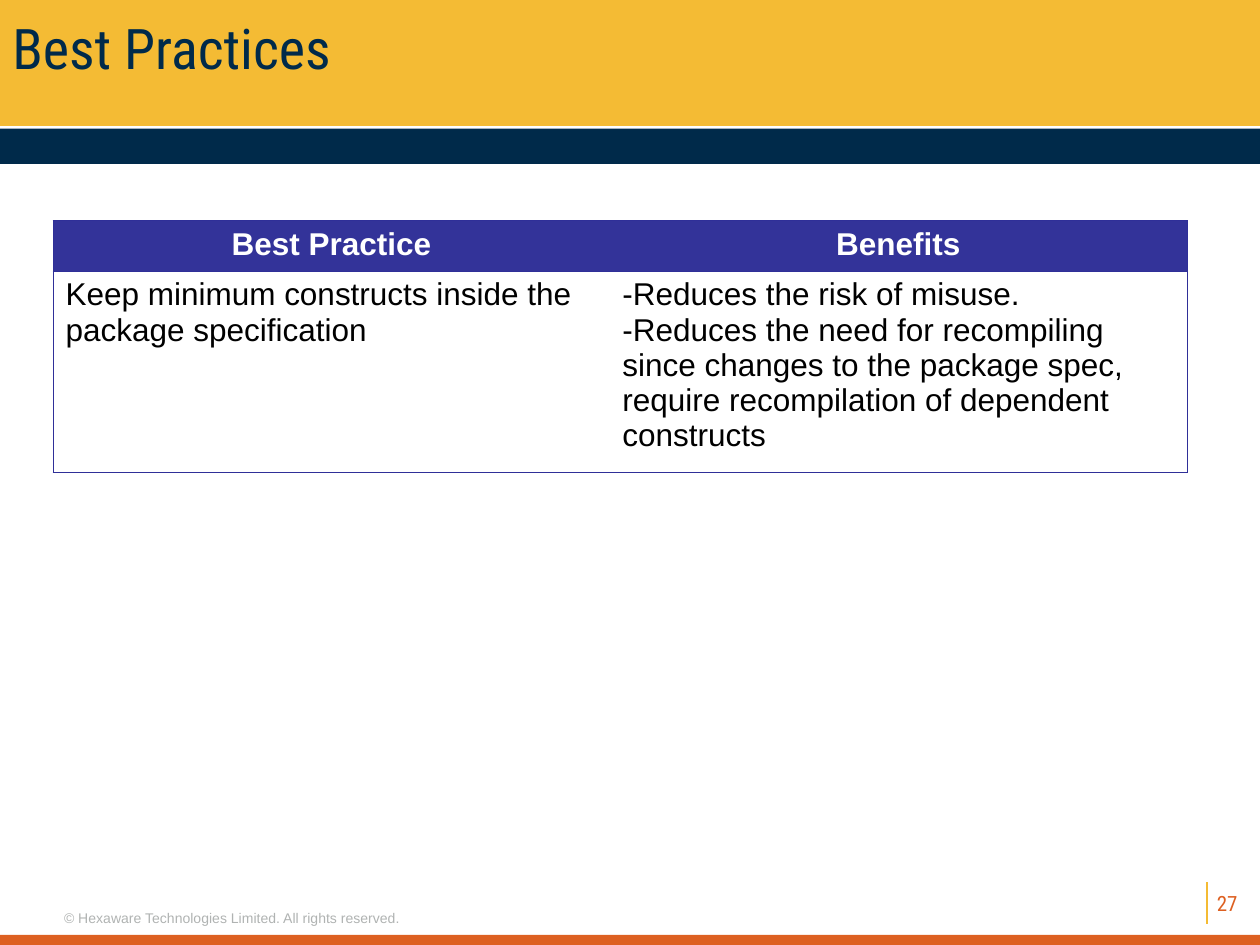
"""Build the Best Practices slide with its table of practices and benefits."""
from dataclasses import dataclass

from lxml import etree
from pptx import Presentation
from pptx.dml.color import RGBColor
from pptx.enum.shapes import MSO_CONNECTOR, MSO_SHAPE
from pptx.enum.text import MSO_ANCHOR, PP_ALIGN
from pptx.oxml.ns import qn
from pptx.util import Inches, Pt

RECTANGLE = MSO_SHAPE.RECTANGLE
STRAIGHT = MSO_CONNECTOR.STRAIGHT
TOP, MIDDLE = MSO_ANCHOR.TOP, MSO_ANCHOR.MIDDLE
LEFT, CENTER, RIGHT = PP_ALIGN.LEFT, PP_ALIGN.CENTER, PP_ALIGN.RIGHT


@dataclass(frozen=True)
class Theme:
    gold: str = "F4BB34"
    navy: str = "002A4A"
    orange: str = "DD6021"
    gray: str = "B0B3B2"
    header: str = "333399"
    border: str = "2F2F98"
    white: str = "FFFFFF"
    black: str = "000000"
    heading_font: str = "Roboto Condensed"
    body_font: str = "Arial"
    title_size: int = 32
    table_size: int = 18
    number_size: int = 12
    footer_size: int = 8


theme = Theme()


def write_text(frame, text, font, size, color, align=LEFT, bold=False):
    frame.text = text
    for para in frame.paragraphs:
        para.alignment = align
        for span in para.runs:
            span.font.name = font
            span.font.size = Pt(size)
            span.font.bold = bold
            span.font.color.rgb = RGBColor.from_string(color)


def set_border(cell, side, visible):
    line = etree.SubElement(cell._tc.get_or_add_tcPr(), qn(f"a:{side}"))
    if visible:
        line.set("w", str(Pt(0.34)))
        fill = etree.SubElement(line, qn("a:solidFill"))
        etree.SubElement(fill, qn("a:srgbClr"), val=theme.border)
    else:
        etree.SubElement(line, qn("a:noFill"))


deck = Presentation()
deck.slide_width, deck.slide_height = Inches(10), Inches(7.5)
page = deck.slides.add_slide(deck.slide_layouts[6])

for top, height, color in (
    (0, 1, theme.gold),
    (1.02, 0.28, theme.navy),
    (7.42, 0.08, theme.orange),
):
    band = page.shapes.add_shape(RECTANGLE, 0, Inches(top), deck.slide_width, Inches(height))
    band.shadow.inherit = False
    band.fill.solid()
    band.fill.fore_color.rgb = RGBColor.from_string(color)
    band.line.fill.background()

divider = page.shapes.add_connector(STRAIGHT, Inches(9.58), Inches(7), Inches(9.58), Inches(7.33))
divider.line.color.rgb = RGBColor.from_string(theme.gold)
divider.line.width = Pt(0.75)
etree.SubElement(divider._element.spPr, qn("a:effectLst"))

labels = (
    ("27", (9.5, 7, 0.42, 0.33), MIDDLE, True,
     theme.heading_font, theme.number_size, theme.orange, RIGHT),
    ("© Hexaware Technologies Limited. All rights reserved.", (0.41, 7.17, 2.92, 0.24), TOP, False,
     theme.body_font, theme.footer_size, theme.gray, LEFT),
    ("Best Practices", (0, 0, 7.83, 0.75), MIDDLE, True,
     theme.heading_font, theme.title_size, theme.navy, LEFT),
)
for text, place, anchor, wrap, font, size, color, align in labels:
    box = page.shapes.add_textbox(*map(Inches, place))
    box.text_frame.word_wrap = wrap
    box.text_frame.vertical_anchor = anchor
    write_text(box.text_frame, text, font, size, color, align)

rows = (
    ("Best Practice", "Benefits"),
    (
        "Keep minimum constructs inside the package specification",
        "-Reduces the risk of misuse.\n-Reduces the need for recompiling since changes to the "
        "package spec, require recompilation of dependent constructs",
    ),
)
table = page.shapes.add_table(2, 2, Inches(0.42), Inches(1.75), Inches(9), Inches(2)).table
table.first_row = table.horz_banding = False
for column, width in zip(table.columns, (4.42, 4.58)):
    column.width = Inches(width)
for row, height in zip(table.rows, (0.4, 1.6)):
    row.height = Inches(height)

for row_index, texts in enumerate(rows):
    is_header = row_index == 0
    for column_index, text in enumerate(texts):
        cell = table.cell(row_index, column_index)
        write_text(
            cell.text_frame, text, theme.body_font, theme.table_size,
            theme.white if is_header else theme.black,
            CENTER if is_header else LEFT, is_header,
        )
        set_border(cell, "lnL", column_index == 0)
        set_border(cell, "lnR", column_index == 1)
        set_border(cell, "lnT", True)
        set_border(cell, "lnB", True)
        if is_header:
            cell.fill.solid()
            cell.fill.fore_color.rgb = RGBColor.from_string(theme.header)
        else:
            cell.fill.background()

deck.save("out.pptx")
